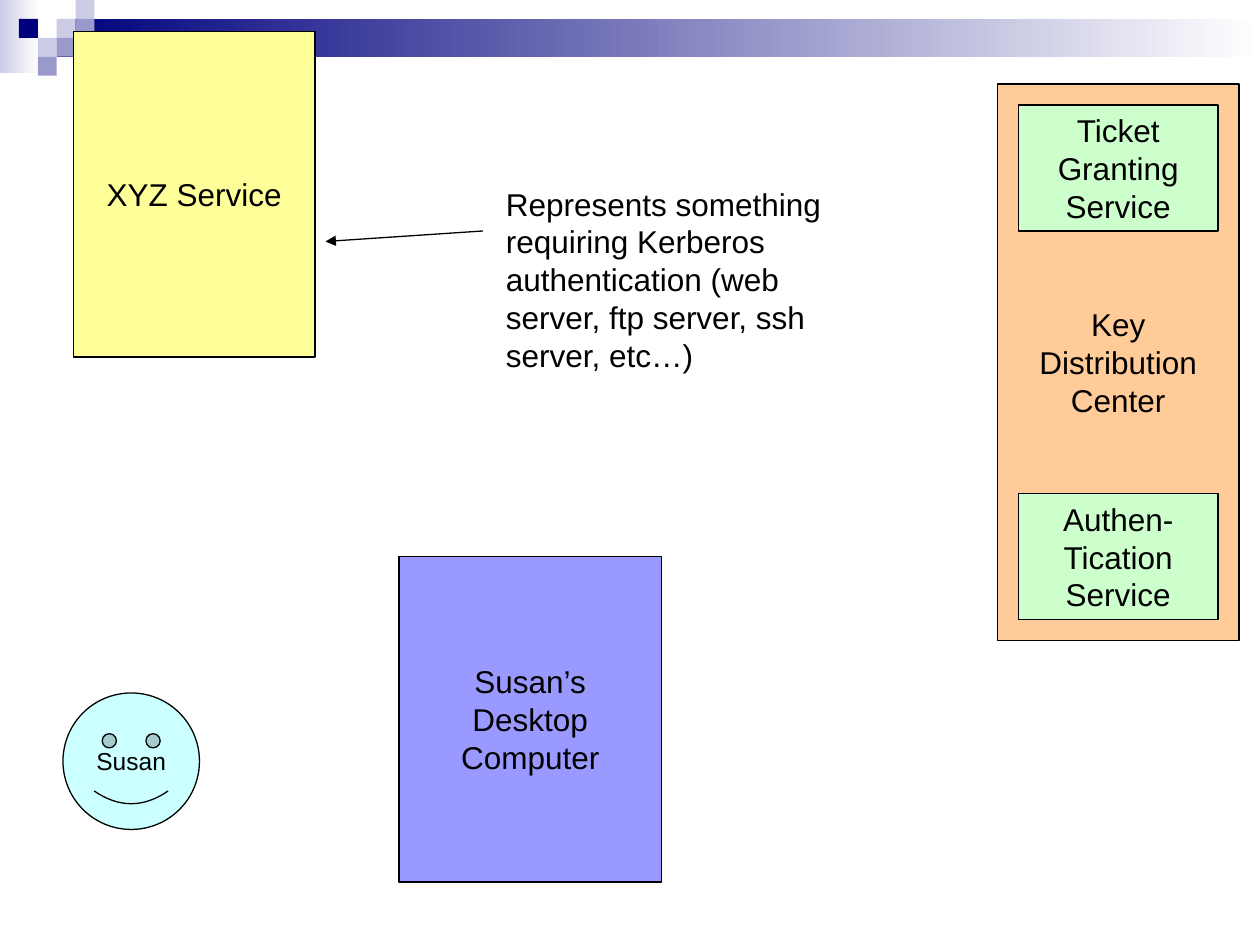
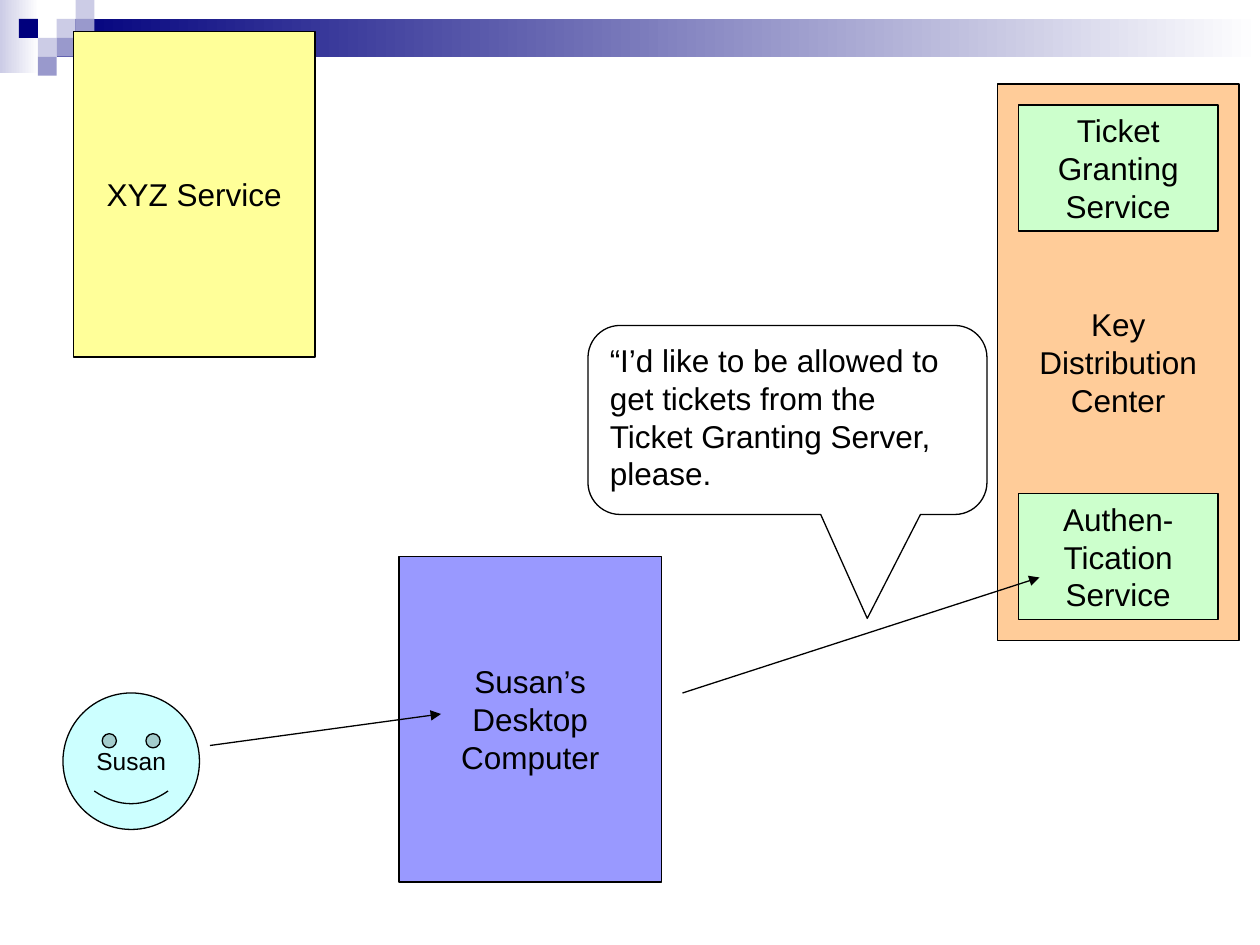
from pptx import Presentation
from pptx.dml.color import RGBColor
from pptx.enum.shapes import MSO_CONNECTOR, MSO_SHAPE
from pptx.enum.text import MSO_ANCHOR, MSO_AUTO_SIZE, PP_ALIGN
from pptx.oxml.ns import qn
from pptx.util import Inches, Pt
from lxml.etree import SubElement

BLACK = RGBColor(0x00, 0x00, 0x00)
WHITE = RGBColor(0xFF, 0xFF, 0xFF)
NAVY = RGBColor(0x00, 0x00, 0x7D)
LAVENDER = RGBColor(0xCC, 0xCC, 0xE6)
VIOLET = RGBColor(0x99, 0x99, 0xCC)
YELLOW = RGBColor(0xFF, 0xFF, 0x99)
BLUE = RGBColor(0x99, 0x99, 0xFF)
ORANGE = RGBColor(0xFF, 0xCC, 0x99)
GREEN = RGBColor(0xCC, 0xFF, 0xCC)
CYAN = RGBColor(0xCC, 0xFF, 0xFF)

COLUMNS, ROWS = 120, 90
TILE = 1.8
TILES = [(3, 1, LAVENDER), (4, 0, LAVENDER), (4, 1, VIOLET), (2, 2, LAVENDER),
         (1, 1, NAVY), (3, 2, VIOLET), (2, 3, VIOLET)]

LABEL_FONT = {"name": "Arial", "size": Pt(18)}
SMALL_FONT = LABEL_FONT | {"size": Pt(14)}
CENTERED = {"word_wrap": False, "vertical_anchor": MSO_ANCHOR.MIDDLE}
WRAPPED = {"word_wrap": True, "vertical_anchor": MSO_ANCHOR.TOP}
GROWING = WRAPPED | {"auto_size": MSO_AUTO_SIZE.SHAPE_TO_FIT_TEXT}


def set_format(target, values):
    for name, value in values.items():
        setattr(target, name, value)


class Diagram:
    def __init__(self, presentation):
        self.presentation = presentation
        self.column = presentation.slide_width / COLUMNS
        self.row = presentation.slide_height / ROWS
        self.slide = None

    def start_slide(self):
        self.slide = self.presentation.slides.add_slide(self.presentation.slide_layouts[6])
        self.fade(0, 0, 3.7, 7, LAVENDER)
        self.fade(3 * TILE, TILE, COLUMNS - 3 * TILE, 2 * TILE, NAVY)
        for across, down, color in TILES:
            self.shape(across * TILE, down * TILE, TILE, TILE, color, outlined=False)

    def place(self, left, top, width, height):
        return [int(left * self.column), int(top * self.row),
                int(width * self.column), int(height * self.row)]

    def shape(self, left, top, width, height, color, kind=MSO_SHAPE.RECTANGLE, outlined=True):
        shape = self.slide.shapes.add_shape(kind, *self.place(left, top, width, height))
        shape.shadow.inherit = False
        shape.fill.solid()
        shape.fill.fore_color.rgb = color
        if outlined:
            self.stroke(shape.line)
        else:
            shape.line.fill.background()
        return shape

    def fade(self, left, top, width, height, color):
        band = self.shape(left, top, width, height, color, outlined=False)
        band.fill.gradient()
        band.fill.gradient_angle = 0
        for stop, stop_color in zip(band.fill.gradient_stops, (color, WHITE)):
            stop.color.rgb = stop_color

    def stroke(self, line):
        line.color.rgb = BLACK
        line.width = Pt(0.75)

    def label(self, shape, text, font=LABEL_FONT, frame=CENTERED, alignment=PP_ALIGN.CENTER):
        set_format(shape.text_frame, frame)
        shape.text_frame.text = text
        for paragraph in shape.text_frame.paragraphs:
            paragraph.alignment = alignment
            set_format(paragraph.font, font)
            paragraph.font.color.rgb = BLACK

    def box(self, text, left, top, width, height, color):
        self.label(self.shape(left, top, width, height, color), text)

    def person(self, name, left, top, size):
        face = self.shape(left, top, size, size, CYAN, MSO_SHAPE.SMILEY_FACE)
        face.adjustments[0] = 0.09
        self.label(face, name, SMALL_FONT)

    def note(self, text, left, top, width, height):
        note = self.slide.shapes.add_textbox(*self.place(left, top, width, height))
        self.label(note, text, frame=GROWING, alignment=PP_ALIGN.LEFT)

    def speech(self, text, left, top, width, height):
        balloon = self.shape(left, top, width, height, WHITE,
                             MSO_SHAPE.ROUNDED_RECTANGULAR_CALLOUT)
        for index, value in enumerate((0.2, 1.05, 0.17)):
            balloon.adjustments[index] = value
        self.label(balloon, text, frame=WRAPPED, alignment=PP_ALIGN.LEFT)

    def arrow(self, start, end):
        connector = self.slide.shapes.add_connector(
            MSO_CONNECTOR.STRAIGHT, *self.place(*start, *end))
        self.stroke(connector.line)
        properties = connector._element.spPr
        SubElement(properties.find(qn("a:ln")), qn("a:tailEnd"), type="triangle")
        SubElement(properties, qn("a:effectLst"))

    def participants(self):
        self.person("Susan", 6, 66, 13)
        self.box("Key\nDistribution\nCenter", 95, 8, 23, 53, ORANGE)
        self.box("Ticket\nGranting\nService", 97, 10, 19, 12, GREEN)
        self.box("Authen-\nTication\nService", 97, 47, 19, 12, GREEN)
        self.box("XYZ Service", 7, 3, 23, 31, YELLOW)
        self.box("Susan’s\nDesktop\nComputer", 38, 53, 25, 31, BLUE)


def main():
    presentation = Presentation()
    presentation.slide_width = Inches(10)
    presentation.slide_height = Inches(7.5)
    diagram = Diagram(presentation)

    diagram.start_slide()
    diagram.participants()
    diagram.arrow((46, 22), (31, 23))
    diagram.note("Represents something requiring Kerberos authentication "
                 "(web server, ftp server, ssh server, etc…)", 47, 17, 34, 19.2)

    diagram.start_slide()
    diagram.participants()
    diagram.arrow((20, 71), (42, 68))
    diagram.arrow((65, 66), (99, 55))
    diagram.speech("“I’d like to be allowed to get tickets from the "
                   "Ticket Granting Server, please.", 56, 31, 38, 18)

    presentation.save("out.pptx")


if __name__ == "__main__":
    main()
